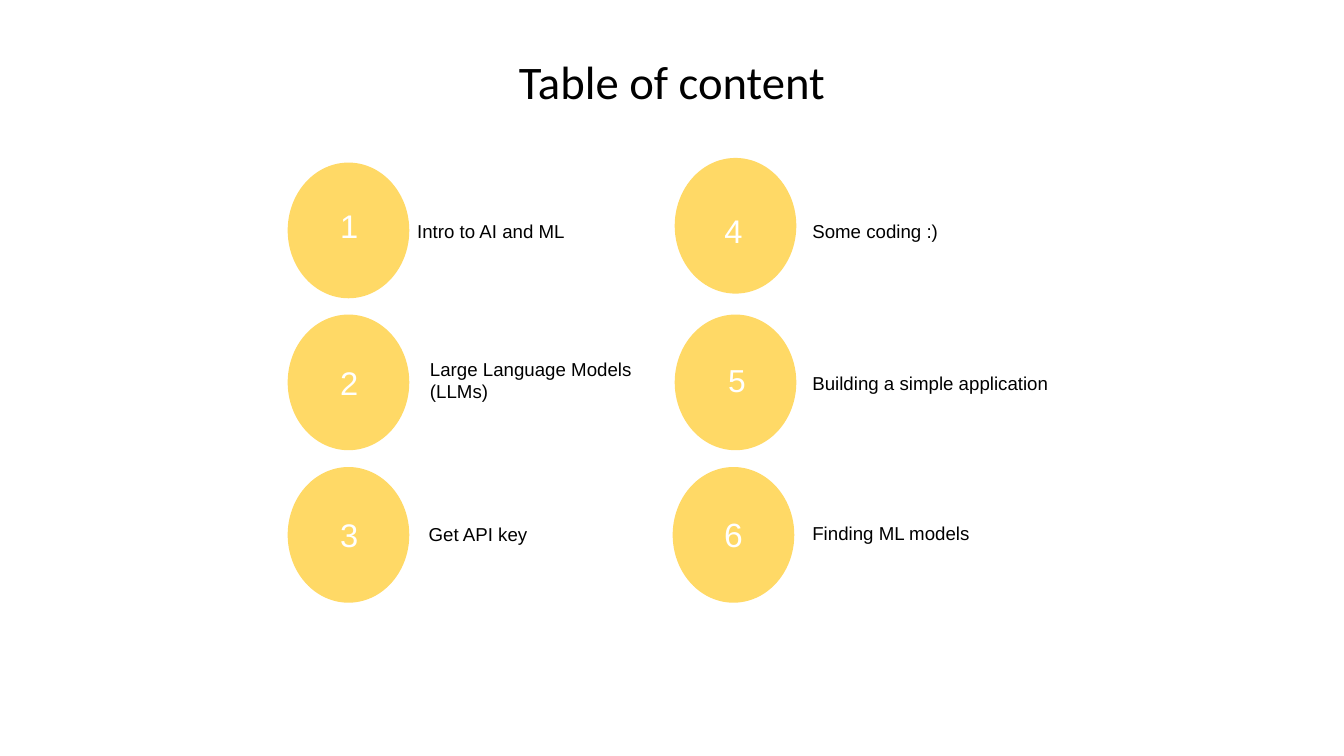
from collections import namedtuple

from pptx import Presentation
from pptx.dml.color import RGBColor
from pptx.enum.shapes import MSO_SHAPE
from pptx.enum.text import MSO_ANCHOR, PP_ALIGN
from pptx.util import Pt

YELLOW = "FFD966"
WHITE = "FFFFFF"
BLACK = "000000"

CIRCLE_WIDTH, CIRCLE_HEIGHT = 130.3, 145.4
LABEL_WIDTH, LABEL_HEIGHT = 268.6, 91.4
NUMBER_HEIGHTS = (103, 91.4)  # left column, right column
ROWS = 3

# Each position is (left, top) in points.
Topic = namedtuple("Topic", "label circle number number_size label_position")
TOPICS = [
    Topic("Intro to AI and ML", (308.2, 174.2), (308.9, 190.1), 35, (439.9, 201.6)),
    Topic("Large Language Models (LLMs)", (308.2, 337), (308.9, 358.6), 35, (453.6, 361.4)),
    Topic("Get API key", (308.2, 500.4), (308.9, 521.3), 35, (452.2, 527)),
    Topic("Some coding :)", (722.9, 169.2), (720.7, 201.6), 35, (863.3, 201.6)),
    Topic("Building a simple application", (722.9, 337), (724.3, 361.4), 34, (863.3, 364.3)),
    Topic("Finding ML models", (720.7, 500.4), (720.7, 527), 36, (863.3, 524.9)),
]


def color(hex_string):
    return RGBColor.from_string(hex_string)


def add_circle(slide, position, fill):
    left, top = position
    shape = slide.shapes.add_shape(
        MSO_SHAPE.OVAL, Pt(left), Pt(top), Pt(CIRCLE_WIDTH), Pt(CIRCLE_HEIGHT))
    shape.shadow.inherit = False
    shape.fill.solid()
    shape.fill.fore_color.rgb = color(fill)
    shape.line.fill.background()


def add_text(slide, text, position, width, height, size, hex_color,
             font_name="Arial", alignment=PP_ALIGN.LEFT, anchor=MSO_ANCHOR.MIDDLE):
    left, top = position
    box = slide.shapes.add_textbox(Pt(left), Pt(top), Pt(width), Pt(height))
    frame = box.text_frame
    frame.word_wrap = True
    frame.vertical_anchor = anchor
    frame.margin_left = frame.margin_right = Pt(7.2)
    frame.margin_top = frame.margin_bottom = Pt(7.2)
    frame.text = text
    paragraph = frame.paragraphs[0]
    paragraph.alignment = alignment
    font = paragraph.runs[0].font
    font.name = font_name
    font.size = Pt(size)
    font.color.rgb = color(hex_color)


def add_topic(slide, index, topic):
    add_circle(slide, topic.circle, YELLOW)
    add_text(slide, str(index + 1), topic.number, CIRCLE_WIDTH,
             NUMBER_HEIGHTS[index // ROWS], topic.number_size, WHITE,
             alignment=PP_ALIGN.CENTER)
    add_text(slide, topic.label, topic.label_position, LABEL_WIDTH,
             LABEL_HEIGHT, 20, BLACK)


def main():
    presentation = Presentation()
    presentation.slide_width = Pt(1440)
    presentation.slide_height = Pt(810)
    slide = presentation.slides.add_slide(presentation.slide_layouts[6])
    add_text(slide, "Table of content", (402.5, 49.7), 635, 74.9, 50, BLACK,
             font_name="Calibri", alignment=PP_ALIGN.CENTER, anchor=MSO_ANCHOR.TOP)
    for index, topic in enumerate(TOPICS):
        add_topic(slide, index, topic)
    presentation.save("out.pptx")


if __name__ == "__main__":
    main()
